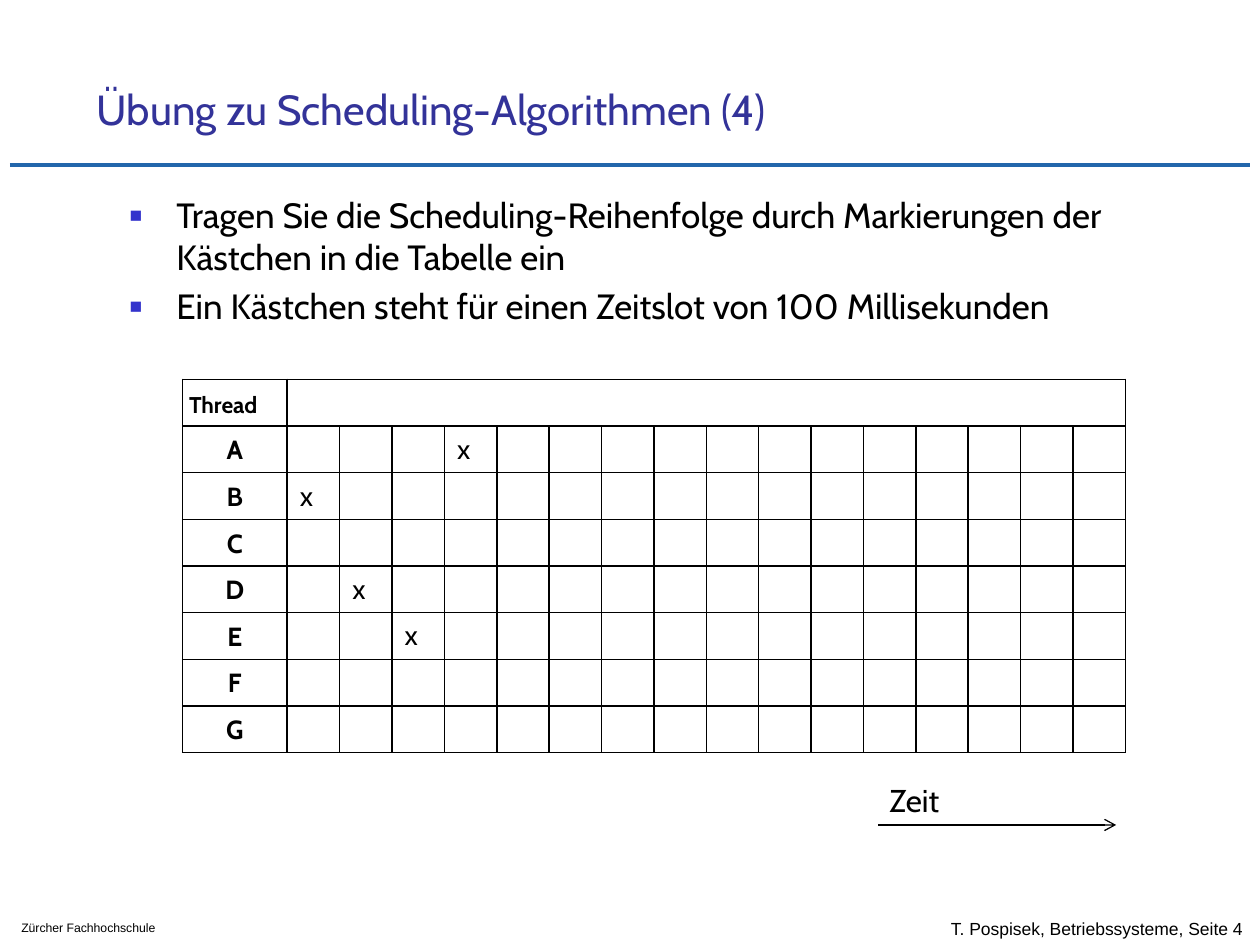
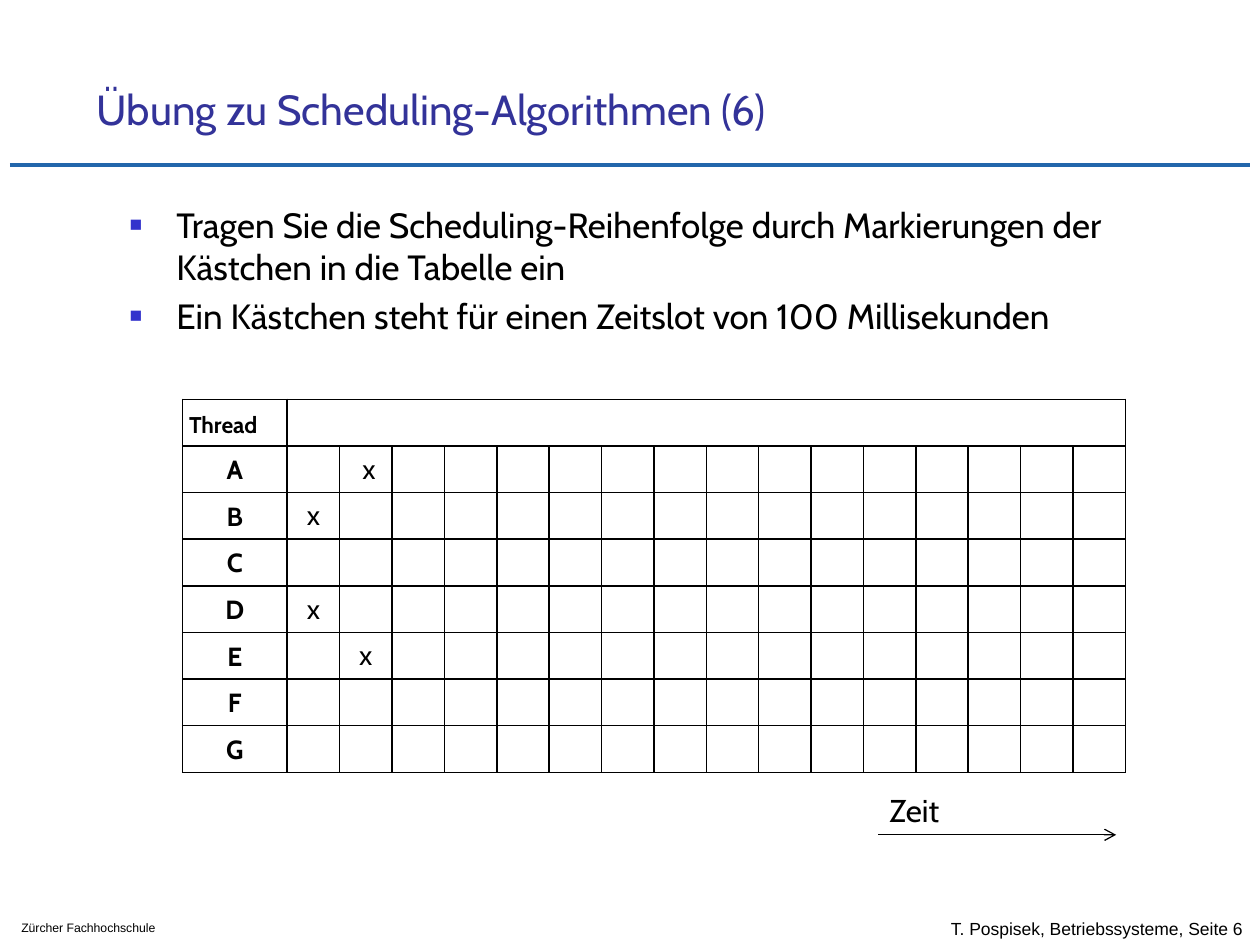
from lxml import etree
from pptx import Presentation
from pptx.dml.color import RGBColor
from pptx.enum.shapes import MSO_CONNECTOR
from pptx.enum.text import MSO_ANCHOR, MSO_AUTO_SIZE, PP_ALIGN
from pptx.oxml.ns import qn
from pptx.util import Cm, Pt

LEFT, CENTER = PP_ALIGN.LEFT, PP_ALIGN.CENTER
TOP, MIDDLE, BOTTOM = MSO_ANCHOR.TOP, MSO_ANCHOR.MIDDLE, MSO_ANCHOR.BOTTOM
STRAIGHT = MSO_CONNECTOR.STRAIGHT
NO_FIT = MSO_AUTO_SIZE.NONE

# Shared look
MAIN, SMALL = "Cabin", "Arial"
BLACK, WHITE = "000000", "FFFFFF"
TITLE, RULE, BULLET = "333399", "2266AB", "3333CC"

TASKS = [
    "Tragen Sie die Scheduling-Reihenfolge durch Markierungen der Kästchen in die Tabelle ein",
    "Ein Kästchen steht für einen Zeitslot von 100 Millisekunden",
]
THREADS = "ABCDEFG"
SLOTS = 16


def color(code):
    return RGBColor.from_string(code)


def sub(parent, tag, **attrs):
    node = etree.SubElement(parent, qn(tag))
    for key, value in attrs.items():
        node.set(key, str(value))
    return node


def write(frame, *lines, size=20, font=MAIN, ink=BLACK, bold=False,
          align=LEFT, anchor=TOP, wrap=True, gap=0, bullet=None):
    """Fill a text frame with one paragraph per line."""
    frame.word_wrap = wrap
    frame.vertical_anchor = anchor
    for i, line in enumerate(lines):
        para = frame.paragraphs[0] if i == 0 else frame.add_paragraph()
        para.alignment = align
        para.space_before = Pt(gap if i else 0)
        if bullet:
            mark(para, bullet)
        run = para.add_run()
        run.text = line
        run.font.name, run.font.size, run.font.bold = font, Pt(size), bold
        run.font.color.rgb = color(ink)


def mark(para, char):
    """Give a paragraph a hanging square bullet."""
    props = para._p.get_or_add_pPr()
    props.set("marL", str(Cm(0.96)))
    props.set("indent", str(-Cm(0.94)))
    sub(sub(props, "a:buClr"), "a:srgbClr", val=BULLET)
    sub(props, "a:buSzPct", val=60000)
    sub(props, "a:buFont", typeface=SMALL)
    sub(props, "a:buChar", char=char)


def place(shape, left, top, width, height):
    shape.left, shape.top = Cm(left), Cm(top)
    shape.width, shape.height = Cm(width), Cm(height)


def label(slide, text, left, top, width, height, **style):
    box = slide.shapes.add_textbox(Cm(left), Cm(top), Cm(width), Cm(height))
    write(box.text_frame, text, **style)


def rule(slide, left, top, width, ink, weight, arrow=False):
    line = slide.shapes.add_connector(
        STRAIGHT, Cm(left), Cm(top), Cm(left + width), Cm(top))
    line.line.color.rgb = color(ink)
    line.line.width = Pt(weight)
    if arrow:
        sub(line.line._get_or_add_ln(), "a:tailEnd", type="arrow")
    sub(line._element.spPr, "a:effectLst")


def base(slide, title, page):
    """Title, rule and footer."""
    place(slide.shapes.title, 1.7, 0.91, 21.64, 1.91)
    frame = slide.shapes.title.text_frame
    frame.auto_size = NO_FIT
    write(frame, title, size=24, ink=TITLE, anchor=BOTTOM)
    rule(slide, 0.2, 3.32, 25, RULE, 2.5)
    label(slide, f"T. Pospisek, Betriebssysteme, Seite {page}",
          18.92, 18.29, 8.71, 0.84, size=10, font=SMALL, anchor=MIDDLE)
    label(slide, "Zürcher Fachhochschule",
          0.18, 18.42, 4.37, 0.56, size=7, font=SMALL)


def tasks(slide, left, top, width, height):
    body = slide.placeholders[1]
    place(body, left, top, width, height)
    body.text_frame.auto_size = NO_FIT
    write(body.text_frame, *TASKS, gap=4, bullet="■")


def dress(cell):
    """Thin black borders, white fill, tight margins."""
    props = cell._tc.get_or_add_tcPr()
    for side in ("a:lnL", "a:lnR", "a:lnT", "a:lnB"):
        line = sub(props, side, w=Pt(0.96))
        sub(sub(line, "a:solidFill"), "a:srgbClr", val=BLACK)
    cell.fill.solid()
    cell.fill.fore_color.rgb = color(WHITE)
    cell.margin_left = cell.margin_right = Cm(0.13)
    cell.margin_top = cell.margin_bottom = Cm(0.13)
    cell.vertical_anchor = BOTTOM


def fill(cell, text, **style):
    write(cell.text_frame, text, **style)
    cell.vertical_anchor = BOTTOM


def plan(slide, left, top, width, height, marks, align):
    """Grid of threads by time slots; marks maps a thread to (slot, text)."""
    rows, head = len(THREADS) + 1, 2.11
    table = slide.shapes.add_table(
        rows, SLOTS + 1, Cm(left), Cm(top), Cm(width), Cm(height)).table
    table.first_row = table.horz_banding = False
    for i, col in enumerate(table.columns):
        col.width = Cm((width - head) / SLOTS if i else head)
    for row in table.rows:
        row.height = Cm(height / rows)
    for cell in table.iter_cells():
        dress(cell)
    table.cell(0, 1).merge(table.cell(0, SLOTS))
    fill(table.cell(0, 0), "Thread", size=13, bold=True)
    for r, name in enumerate(THREADS, 1):
        fill(table.cell(r, 0), name, size=15, bold=True, align=CENTER)
        if name in marks:
            slot, text = marks[name]
            fill(table.cell(r, slot), text, size=16, align=align)
    # Small type in empty cells keeps the rows at their height
    for cell in table.iter_cells():
        if not cell.text_frame.text:
            sub(cell.text_frame.paragraphs[0]._p, "a:endParaRPr", sz=1200)


def time(slide, left, top, width):
    label(slide, "Zeit", left, top, 1.63, 1.02, size=18, wrap=False)
    rule(slide, left + 0.02, top + 1, width, BLACK, 0.75, arrow=True)


def task(deck, page, shift, marks, align):
    slide = deck.slides.add_slide(deck.slide_layouts[1])
    base(slide, f"Übung zu Scheduling-Algorithmen ({page})", page)
    tasks(slide, 2.34, 3.78 + shift, 21.56, 2.13)
    plan(slide, 3.68, 7.65 + 2 * shift, 19.02, 7.52, marks, align)
    time(slide, 17.68, 15.63 + shift, 4.8)


def main():
    deck = Presentation()
    deck.slide_width, deck.slide_height = Cm(25.4), Cm(19.05)
    task(deck, 4, 0, {"A": (4, " x"), "B": (1, " x"),
                      "D": (2, " x"), "E": (3, " x")}, LEFT)
    task(deck, 6, 0.2, {"A": (2, " x"), "B": (1, "x"),
                        "D": (1, "x"), "E": (2, "x")}, CENTER)
    deck.save("out.pptx")


if __name__ == "__main__":
    main()
